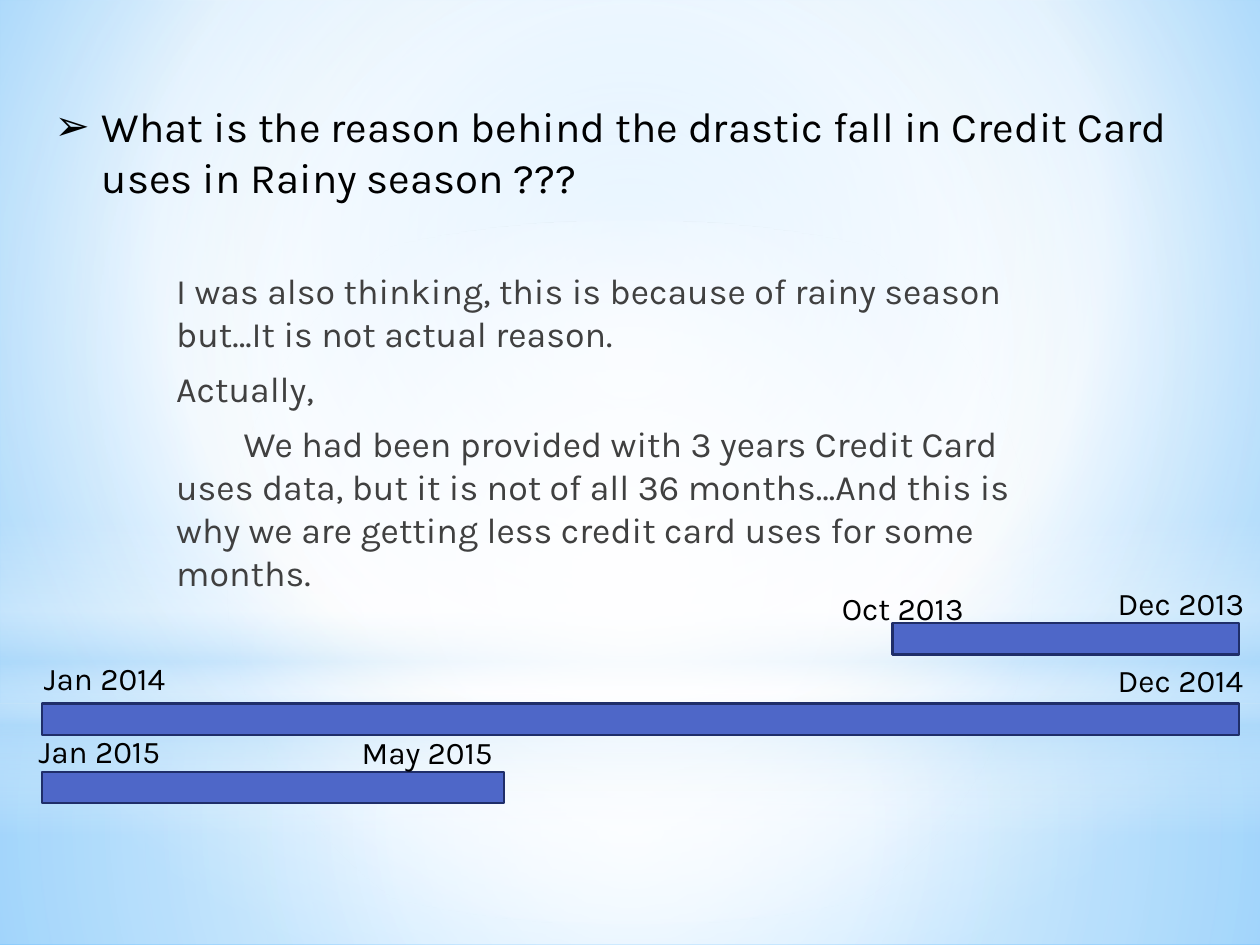
import pptx
import pptx.util
import pptx.dml.color
import pptx.enum.shapes
import pptx.enum.text
import pptx.oxml
import pptx.oxml.ns
import lxml.etree

Pt = pptx.util.Pt
SHAPES = pptx.enum.shapes.MSO_SHAPE
TEXT = pptx.enum.text


def rgb(value):
    return pptx.dml.color.RGBColor.from_string(value)


class QuestionSlide:
    """Holds the style and the current slide, with a method per kind of element."""

    font, ink, body_ink = "Karla", "000000", "404040"
    bar_fill, bar_line = "4E67C8", "1F2E69"

    def __init__(self, presentation):
        self.slide = presentation.slides.add_slide(presentation.slide_layouts[5])

    def gradient(self, fill, owner, stops, focus=None):
        fill.gradient()
        gradient = owner.element.xpath(".//a:gradFill")[0]
        for child in list(gradient):
            gradient.remove(child)
        qn = pptx.oxml.ns.qn
        stop_list = lxml.etree.SubElement(gradient, qn("a:gsLst"))
        for position, color, alpha in stops:
            stop = lxml.etree.SubElement(stop_list, qn("a:gs"), pos=str(position * 1000))
            tone = lxml.etree.SubElement(stop, qn("a:srgbClr"), val=color)
            if alpha < 100:
                lxml.etree.SubElement(tone, qn("a:alpha"), val=str(alpha * 1000))
        if focus:
            circle = lxml.etree.SubElement(gradient, qn("a:path"), {"path": "circle"})
            sides = {side: str(value * 1000) for side, value in zip("ltrb", focus)}
            lxml.etree.SubElement(circle, qn("a:fillToRect"), sides)
        else:
            lxml.etree.SubElement(gradient, qn("a:lin"), ang="5400000", scaled="0")

    def background(self, stops, focus):
        self.gradient(self.slide.background.fill, self.slide, stops, focus)

    def shape(self, kind, left, top, width, height):
        shape = self.slide.shapes.add_shape(kind, Pt(left), Pt(top), Pt(width), Pt(height))
        shape.shadow.inherit = False
        return shape

    def glow(self, kind, top, height, stops, focus=None):
        glow = self.shape(kind, 0, top, 720, height)
        glow.line.fill.background()
        self.gradient(glow.fill, glow, stops, focus)

    def bar(self, left, top, width):
        bar = self.shape(SHAPES.RECTANGLE, left, top, width, 18)
        bar.fill.solid()
        bar.fill.fore_color.rgb = rgb(self.bar_fill)
        bar.line.color.rgb = rgb(self.bar_line)
        bar.line.width = Pt(1.25)

    def set_text(self, frame, paragraphs, size, color, wrap=True):
        frame.text = "\n".join(paragraphs)
        frame.word_wrap = wrap
        frame.auto_size = TEXT.MSO_AUTO_SIZE.NONE
        frame.vertical_anchor = TEXT.MSO_ANCHOR.TOP
        for paragraph in frame.paragraphs:
            paragraph.alignment = TEXT.PP_ALIGN.LEFT
            for run in paragraph.runs:
                run.font.name = self.font
                run.font.size = Pt(size)
                run.font.color.rgb = rgb(color)

    def title(self, question, left, top, width, height):
        title = self.slide.shapes.title
        title.left, title.top, title.width, title.height = map(Pt, (left, top, width, height))
        self.set_text(title.text_frame, [question], 24, self.ink)
        properties = title.text_frame.paragraphs[0]._p.get_or_add_pPr()
        properties.set("marL", str(Pt(27)))
        properties.set("indent", str(-Pt(27)))
        qn = pptx.oxml.ns.qn
        lxml.etree.SubElement(properties, qn("a:buFont"), typeface="Arial")
        lxml.etree.SubElement(properties, qn("a:buChar"), char="\u27a2")
        self.slide.shapes.element.append(title.element)

    def text(self, paragraphs, left, top, width, height, size, color, wrap=True):
        box = self.slide.shapes.add_textbox(Pt(left), Pt(top), Pt(width), Pt(height))
        self.set_text(box.text_frame, paragraphs, size, color, wrap)
        return box.text_frame.paragraphs

    def answer(self, paragraphs, left, top, width, height):
        answer = self.text(paragraphs, left, top, width, height, 20.4, self.body_ink)
        for paragraph in answer:
            paragraph.space_before, paragraph.space_after = Pt(4), Pt(3)
            paragraph._p.get_or_add_pPr().set("marL", str(Pt(3.6)))
        answer[-1]._p.get_or_add_pPr().set("indent", str(Pt(38.6)))

    def month(self, name, left, top):
        self.text([name], left, top, 88, 29, 18, self.ink, wrap=False)


presentation = pptx.Presentation()
presentation.slide_width, presentation.slide_height = Pt(720), Pt(540)
page = QuestionSlide(presentation)

center = (50, 50, 50, 50)
page.background([(0, "9ED5FF", 100), (60, "FFFFFF", 100), (100, "5BB9FF", 100)], (20, 10, 20, 60))
page.glow(SHAPES.RECTANGLE, 402, 138,
          [(0, "FFFFFF", 91), (37, "FFFFFF", 76), (100, "B4DCFA", 79)], center)
page.glow(SHAPES.RECTANGLE, 0, 402,
          [(0, "FFFFFF", 89), (48, "FFFFFF", 62), (100, "B4DCFA", 79)], center)
page.glow(SHAPES.RECTANGLE, 297, 180,
          [(0, "FFFFFF", 0), (29, "FFFFFF", 30), (45, "B4DCFA", 40),
           (55, "FFFFFF", 26), (65, "B4DCFA", 60), (100, "FFFFFF", 0)])
page.glow(SHAPES.OVAL, 126, 402, [(0, "FFFFFF", 100), (56, "FFFFFF", 0)], center)

page.answer([
    "I was also thinking, this is because of rainy season but\u2026It is not actual reason.",
    "Actually,",
    "We had been provided with 3 years Credit Card uses data, but it is not of all 36 "
    "months\u2026And this is why we are getting less credit card uses for some months.",
], 90, 150, 504, 181)
page.title("What is the reason behind the drastic fall in Credit Card uses in Rainy season ???",
           24, 54, 672, 65.4)

periods = [
    ((510, 356, 198), ("Oct 2013", 474, 333), ("Dec 2013", 631.6, 330)),
    ((24, 402, 684), ("Jan 2014", 18, 373), ("Dec 2014", 631.6, 374)),
    ((24, 441, 264), ("Jan 2015", 15, 415), ("May 2015", 199.6, 415.5)),
]
for bar, first_month, last_month in periods:
    page.bar(*bar)
    page.month(*first_month)
    page.month(*last_month)

presentation.save("out.pptx")
